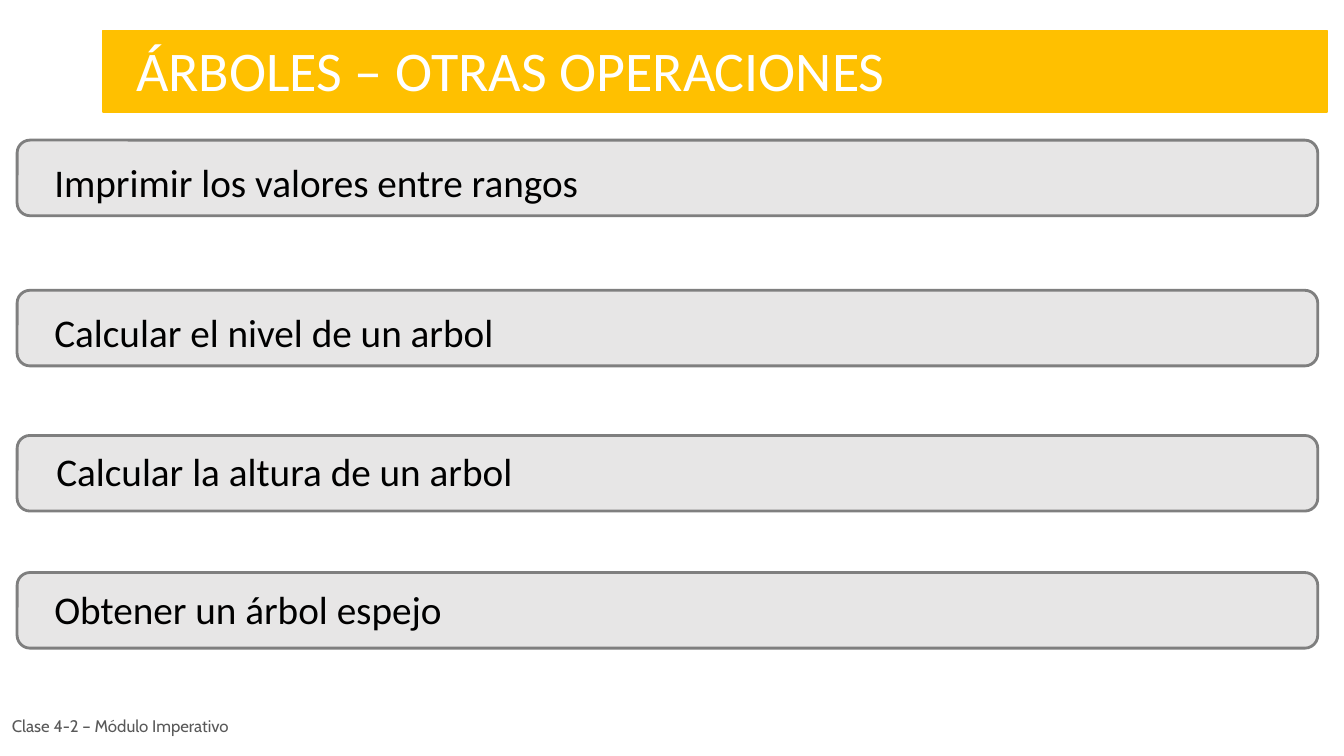
from dataclasses import dataclass

from pptx import Presentation
from pptx import util as u
from pptx.dml.color import RGBColor
from pptx.enum import shapes, text

TITLE = "ÁRBOLES – OTRAS OPERACIONES"
FOOTER = "Clase 4-2 – Módulo Imperativo"
# label, bar top, label left, label drop below the bar top, label width
OPERATIONS = [
    ("Imprimir los valores entre rangos", 1.39, 0.44, 0.13, 5.57),
    ("Calcular el nivel de un arbol", 2.88, 0.44, 0.13, 4.61),
    ("Calcular la altura de un arbol", 4.32, 0.46, 0.07, 4.78),
    ("Obtener un árbol espejo", 5.68, 0.44, 0.08, 4.09),
]


@dataclass(frozen=True)
class Theme:
    font: str = "Calibri"
    footer_font: str = "Cabin"
    accent: str = "FFC000"
    bar: str = "E7E6E6"
    border: str = "7F7F7F"
    light: str = "FFFFFF"
    dark: str = "000000"
    muted: str = "595959"
    title_size: int = 40
    label_size: int = 28
    footer_size: int = 12


theme = Theme()
WIDTH, HEIGHT = 13.33, 7.5
BAR_LEFT, BAR_HEIGHT = 0.17, 0.75
BAR_WIDTH = 12.9
LABEL_HEIGHT = 0.57


def inches(*box):
    return [u.Inches(v) for v in box]


def add_panel(s, kind, box, fill, line, weight):
    sp = s.shapes.add_shape(kind, *inches(*box))
    sp.shadow.inherit = False
    sp.fill.solid()
    sp.fill.fore_color.rgb = RGBColor.from_string(fill)
    sp.line.color.rgb = RGBColor.from_string(line)
    sp.line.width = u.Pt(weight)
    return sp


def write(sp, words, size, font, color, anchor=text.MSO_ANCHOR.TOP,
          fit=text.MSO_AUTO_SIZE.SHAPE_TO_FIT_TEXT):
    tf = sp.text_frame
    tf.text = words
    tf.word_wrap = True
    tf.auto_size = fit
    tf.vertical_anchor = anchor
    p = tf.paragraphs[0]
    p.alignment = text.PP_ALIGN.LEFT
    r = p.runs[0]
    r.font.size = u.Pt(size)
    r.font.name = font
    r.font.color.rgb = RGBColor.from_string(color)


def add_title(s):
    band = add_panel(s, shapes.MSO_SHAPE.RECTANGLE, (1.02, 0.3, 12.14, 0.81),
                     theme.accent, theme.accent, 1)
    title = s.shapes.title
    title.left, title.top, title.width, title.height = inches(1.25, 0.3, 11.66, 0.77)
    write(title, TITLE, theme.title_size, theme.font, theme.light)
    title._element.addprevious(band._element)


def add_operation(s, label, top, left, drop, width):
    bar = add_panel(s, shapes.MSO_SHAPE.ROUNDED_RECTANGLE,
                    (BAR_LEFT, top, BAR_WIDTH, BAR_HEIGHT),
                    theme.bar, theme.border, 2)
    bar.adjustments[0] = 0.17
    sp = s.shapes.add_textbox(*inches(left, top + drop, width, LABEL_HEIGHT))
    write(sp, label, theme.label_size, theme.font, theme.dark)


def add_footer(s):
    sp = s.shapes.add_textbox(*inches(0.02, 6.98, 2.97, 0.45))
    write(sp, FOOTER, theme.footer_size, theme.footer_font, theme.muted,
          text.MSO_ANCHOR.MIDDLE, text.MSO_AUTO_SIZE.NONE)


def main():
    prs = Presentation()
    prs.slide_width, prs.slide_height = inches(WIDTH, HEIGHT)
    s = prs.slides.add_slide(prs.slide_layouts.get_by_name("Title Only"))
    add_title(s)
    for operation in OPERATIONS:
        add_operation(s, *operation)
    add_footer(s)
    prs.save("out.pptx")


if __name__ == "__main__":
    main()
